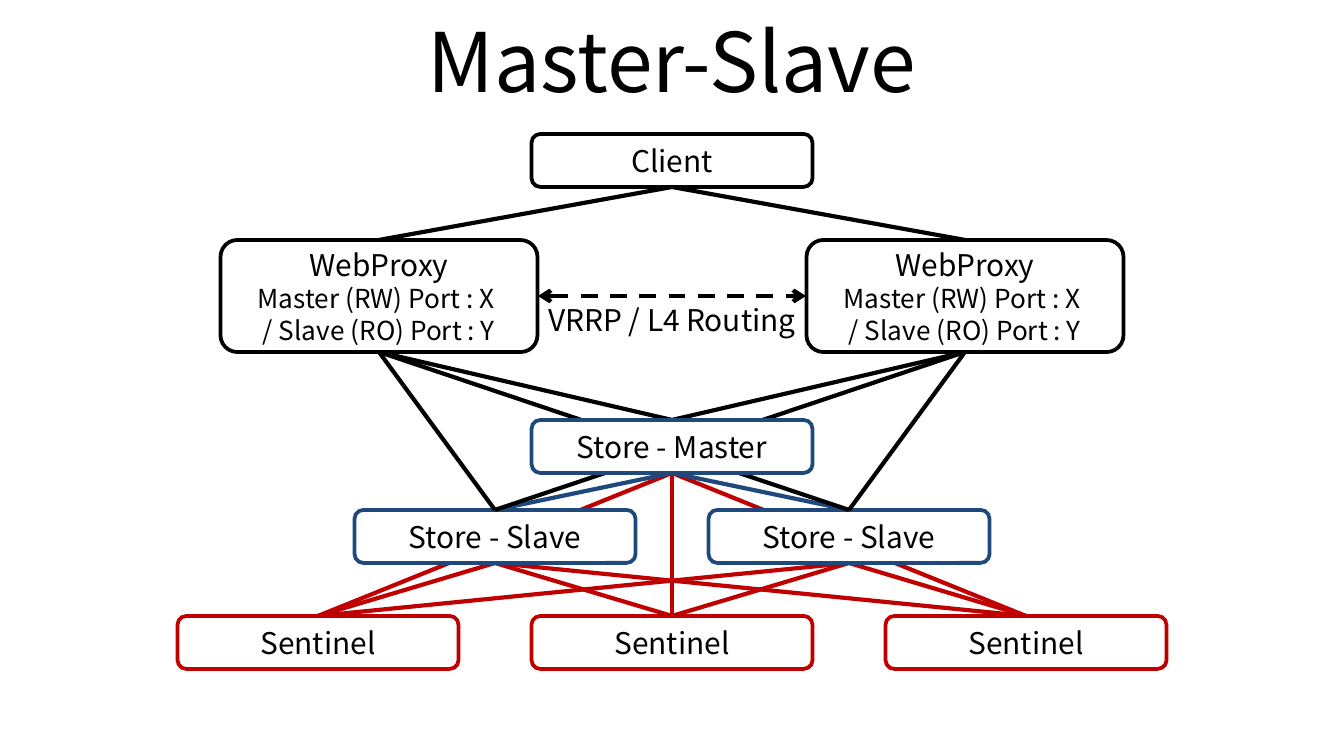
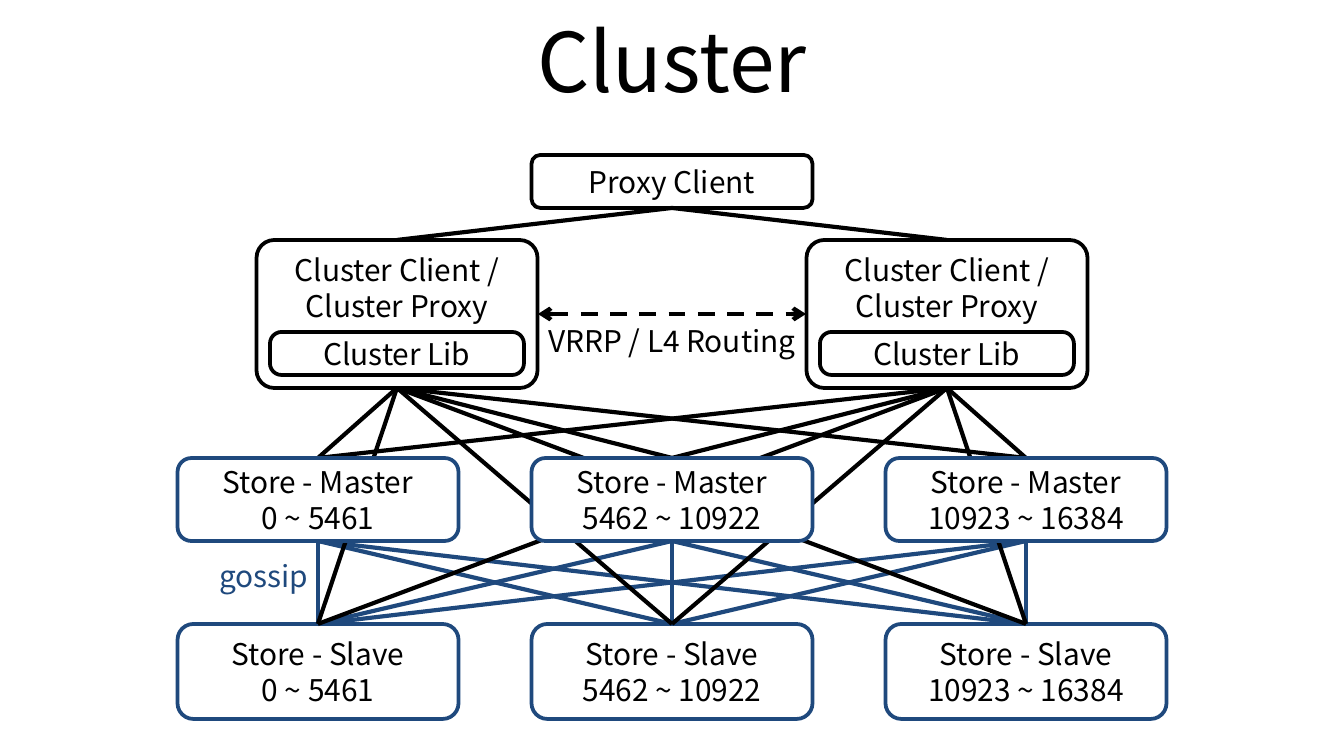
from dataclasses import dataclass
from itertools import product

from lxml.etree import SubElement
from pptx import Presentation
from pptx.dml.color import RGBColor
from pptx.enum.dml import MSO_LINE
from pptx.enum.shapes import MSO_CONNECTOR, MSO_SHAPE
from pptx.enum.text import MSO_ANCHOR, PP_ALIGN
from pptx.oxml.ns import qn
from pptx.util import Pt


@dataclass(frozen=True)
class Theme:
    font: str = "Noto Sans CJK KR"
    black: str = "000000"
    white: str = "FFFFFF"
    blue: str = "1F497D"
    red: str = "C00000"
    title: int = 44
    body: int = 16
    small: int = 14
    edge: float = 2
    link: float = 2.25


T = Theme()
SCALE = 914400 / 134.4
WIDTH, HEIGHT = 1344, 756
MID = WIDTH // 2
COLS = [MID - 354, MID, MID + 354]
BOX_W, BOX_H = 281, 53
LIB_W, LIB_H = 254, 43


def px(n):
    return round(n * SCALE)


def rgb(code):
    return RGBColor.from_string(code)


@dataclass
class Node:
    x: int
    y: int
    w: int = BOX_W
    h: int = BOX_H

    @property
    def top(self):
        return self.x, self.y

    @property
    def base(self):
        return self.x, self.y + self.h

    def frame(self):
        return [px(n) for n in (self.x - self.w / 2, self.y, self.w, self.h)]


def write(shape, text, sizes, color, anchor):
    frame = shape.text_frame
    frame.text = text
    frame.word_wrap = True
    frame.vertical_anchor = anchor
    for i, par in enumerate(frame.paragraphs):
        par.alignment = PP_ALIGN.CENTER
        for run in par.runs:
            run.font.name = T.font
            run.font.size = Pt(sizes[min(i, len(sizes) - 1)])
            run.font.color.rgb = rgb(color)


def label(slide, node, text, size=T.body, color=T.black):
    box = slide.shapes.add_textbox(*node.frame())
    write(box, text, [size], color, MSO_ANCHOR.MIDDLE)


def draw(slide, node, text, color=T.black, sizes=(T.body,), curve=0.167,
         anchor=MSO_ANCHOR.MIDDLE):
    box = slide.shapes.add_shape(MSO_SHAPE.ROUNDED_RECTANGLE, *node.frame())
    box.adjustments[0] = curve
    box.shadow.inherit = False
    box.fill.solid()
    box.fill.fore_color.rgb = rgb(T.white)
    box.line.color.rgb = rgb(color)
    box.line.width = Pt(T.edge)
    write(box, text, sizes, T.black, anchor)


def link(slide, start, end, color=T.black):
    ends = [px(n) for n in (*start, *end)]
    line = slide.shapes.add_connector(MSO_CONNECTOR.STRAIGHT, *ends)
    line.line.color.rgb = rgb(color)
    line.line.width = Pt(T.link)
    SubElement(line._element.spPr, qn("a:effectLst"))
    return line


def mesh(slide, starts, ends, color=T.black):
    for a, b in product(starts, ends):
        link(slide, a.base, b.top, color)


def route(slide, y, text_y):
    line = link(slide, (538, y), (806, y))
    line.line.dash_style = MSO_LINE.DASH
    ln = line.line._get_or_add_ln()
    for tag in ("a:headEnd", "a:tailEnd"):
        SubElement(ln, qn(tag), type="arrow")
    label(slide, Node(MID, text_y, 293), "VRRP / L4 Routing")


def start(deck, title):
    slide = deck.slides.add_slide(deck.slide_layouts[6])
    label(slide, Node(MID, -3, 1210, 126), title, T.title)
    return slide


def replica(deck):
    slide = start(deck, "Master-Slave")
    client = Node(MID, 134)
    pair = [Node(x, 240, 317, 112) for x in (379, 965)]
    master = Node(MID, 420)
    slaves = [Node(x, 510) for x in (495, 849)]
    guards = [Node(x, 616) for x in COLS]

    draw(slide, client, "Client")
    for node in guards:
        draw(slide, node, "Sentinel", T.red)
    mesh(slide, [master, *slaves], guards, T.red)
    for node in slaves:
        draw(slide, node, "Store - Slave", T.blue)
    mesh(slide, [master], slaves, T.blue)
    mesh(slide, [client], pair)
    mesh(slide, pair, [master, *slaves])
    for node in pair:
        draw(slide, node,
             "WebProxy\nMaster (RW) Port : X \n/ Slave (RO) Port : Y",
             sizes=(T.body, T.small), curve=0.15)
    draw(slide, master, "Store - Master", T.blue)
    route(slide, 296, 293)


def cluster(deck):
    slide = start(deck, "Cluster")
    client = Node(MID, 155)
    pair = [Node(x, 240, BOX_W, 148) for x in (397, 947)]
    masters = [Node(x, 458, BOX_W, 83) for x in COLS]
    slaves = [Node(x, 624, BOX_W, 95) for x in COLS]
    slots = ["0 ~ 5461", "5462 ~ 10922", "10923 ~ 16384"]

    draw(slide, client, "Proxy Client")
    for node, slot in zip(slaves, slots):
        draw(slide, node, f"Store - Slave\n{slot}", T.blue)
    mesh(slide, masters, slaves, T.blue)
    mesh(slide, [client], pair)
    mesh(slide, pair, masters + slaves)
    for node in pair:
        draw(slide, node, "Cluster Client / Cluster Proxy", curve=0.12,
             anchor=MSO_ANCHOR.TOP)
        draw(slide, Node(node.x, 332, LIB_W, LIB_H), "Cluster Lib",
             curve=0.27)
    for node, slot in zip(masters, slots):
        draw(slide, node, f"Store - Master\n{slot}", T.blue)
    route(slide, 314, 314)
    label(slide, Node(264, 554, LIB_W, LIB_H), "gossip", color=T.blue)


def main():
    deck = Presentation()
    deck.slide_width, deck.slide_height = px(WIDTH), px(HEIGHT)
    replica(deck)
    cluster(deck)
    deck.save("out.pptx")


main()
